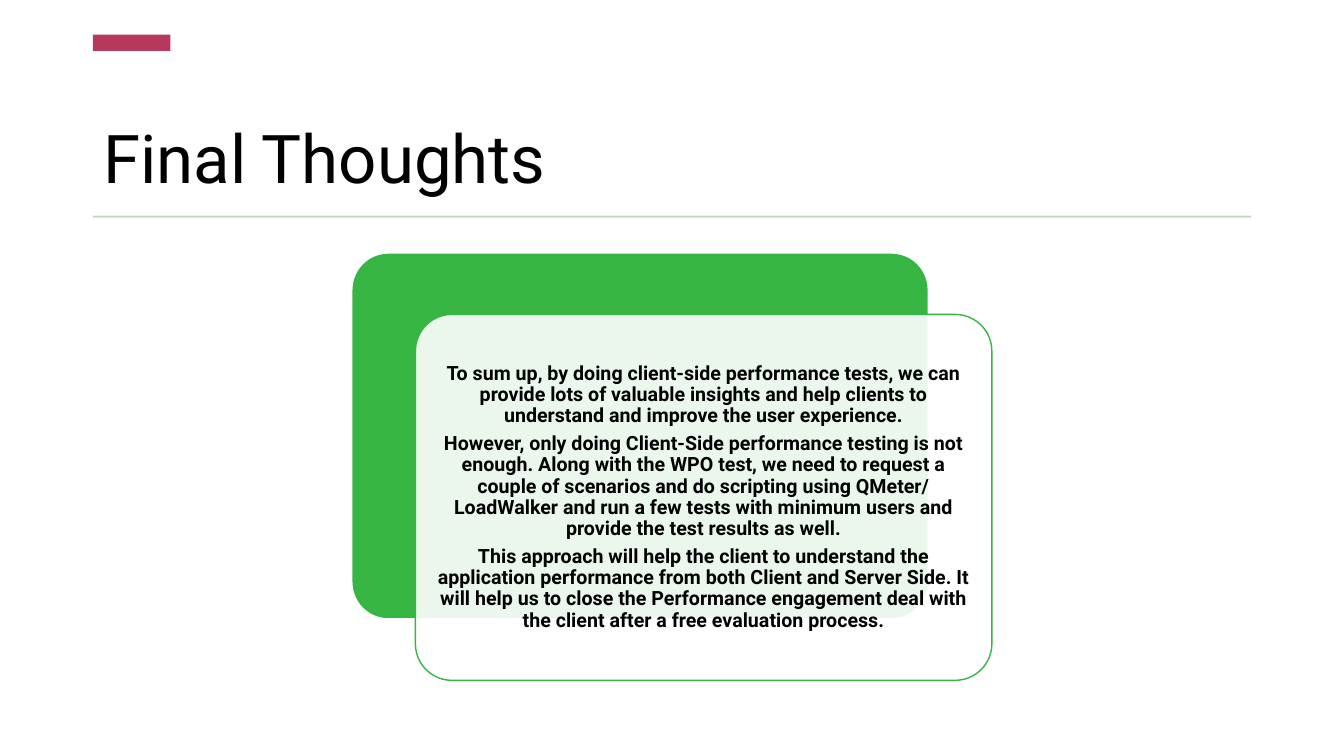
import pptx
import pptx.dml.color
import pptx.enum.shapes
import pptx.enum.text
import pptx.oxml
import pptx.oxml.ns
import pptx.util

Pt = pptx.util.Pt
Shape = pptx.enum.shapes.MSO_SHAPE
Anchor = pptx.enum.text.MSO_ANCHOR
Align = pptx.enum.text.PP_ALIGN

COLORS = {
    "white": "FFFFFF",
    "text": "000000",
    "accent": "B6395D",
    "rule": "BDDBC4",
    "green": "37B542",
}
TITLE_FONT = {"name": "Roboto", "size": Pt(48), "bold": False}
BODY_FONT = {"name": "Roboto", "size": Pt(14), "bold": True}
TITLE_PARAGRAPH = {"alignment": Align.LEFT, "line_spacing": 0.9}
BODY_PARAGRAPH = {
    "alignment": Align.CENTER,
    "line_spacing": 0.9,
    "space_after": Pt(4.9),
}

THOUGHTS = [
    "To sum up, by doing client-side performance tests, we can provide lots of "
    "valuable insights and help clients to understand and improve the user experience.",
    "However, only doing Client-Side performance testing is not enough. Along with "
    "the WPO test, we need to request a couple of scenarios and do scripting using "
    "QMeter/ LoadWalker and run a few tests with minimum users and provide the test "
    "results as well.",
    "This approach will help the client to understand the application performance "
    "from both Client and Server Side. It will help us to close the Performance "
    "engagement deal with the client after a free evaluation process.",
]


class SlideBuilder:
    def __init__(self, slide, colors):
        self.slide = slide
        self.colors = colors

    def color(self, name):
        return pptx.dml.color.RGBColor.from_string(self.colors[name])

    def apply(self, target, values):
        for name, value in values.items():
            setattr(target, name, value)

    def set_text(self, shape, texts, font, paragraph_format, frame_format):
        frame = shape.text_frame
        self.apply(frame, {"word_wrap": True, **frame_format})
        frame.text = "\n".join(texts)
        for paragraph in frame.paragraphs:
            self.apply(paragraph, paragraph_format)
            for run in paragraph.runs:
                self.apply(run.font, font)
                run.font.color.rgb = self.color("text")

    def title(self, text, left, top, width, height):
        shape = self.slide.shapes.title
        self.apply(shape, {"left": Pt(left), "top": Pt(top),
                           "width": Pt(width), "height": Pt(height)})
        frame_format = {"vertical_anchor": Anchor.BOTTOM,
                        "auto_size": pptx.enum.text.MSO_AUTO_SIZE.NONE}
        self.set_text(shape, [text], TITLE_FONT, TITLE_PARAGRAPH, frame_format)

    def box(self, fill, left, top, width, height, kind=Shape.RECTANGLE):
        shape = self.slide.shapes.add_shape(
            kind, Pt(left), Pt(top), Pt(width), Pt(height))
        shape.shadow.inherit = False
        shape.fill.solid()
        shape.fill.fore_color.rgb = self.color(fill)
        shape.line.fill.background()
        return shape

    def card(self, fill, line, left, top, width, height, opacity=100):
        """Add a rounded, outlined box; opacity is a percentage of the fill."""
        shape = self.box(fill, left, top, width, height, Shape.ROUNDED_RECTANGLE)
        shape.adjustments[0] = 0.1
        shape.line.color.rgb = self.color(line)
        shape.line.width = Pt(1)
        if opacity < 100:
            solid_fill = shape.element.spPr.find(pptx.oxml.ns.qn("a:solidFill"))
            solid_fill[0].append(pptx.oxml.parse_xml(
                f'<a:alpha {pptx.oxml.ns.nsdecls("a")} val="{opacity * 1000}"/>'))
        return shape


def main():
    presentation = pptx.Presentation()
    presentation.slide_width = Pt(960)
    presentation.slide_height = Pt(540)
    slide = presentation.slides.add_slide(presentation.slide_layouts[5])
    builder = SlideBuilder(slide, COLORS)

    margin, content_width = 66.4, 827.3
    builder.title("Final Thoughts", margin, 54, content_width, 91.4)
    builder.box("accent", margin, 24.8, 55.4, 11.5)
    builder.box("rule", margin, 154.1, content_width, 1.4)

    left, top, width, height = 251.3, 180.7, 411.8, 261.4
    builder.card("green", "white", left, top, width, height)
    front_card = builder.card(
        "white", "green", left + 45.4, top + 43.9, width, height, opacity=90)
    frame_format = {"vertical_anchor": Anchor.MIDDLE}
    for side in ("left", "top", "right", "bottom"):
        frame_format[f"margin_{side}"] = Pt(4.3)
    builder.set_text(front_card, THOUGHTS, BODY_FONT, BODY_PARAGRAPH, frame_format)

    presentation.save("out.pptx")


if __name__ == "__main__":
    main()
